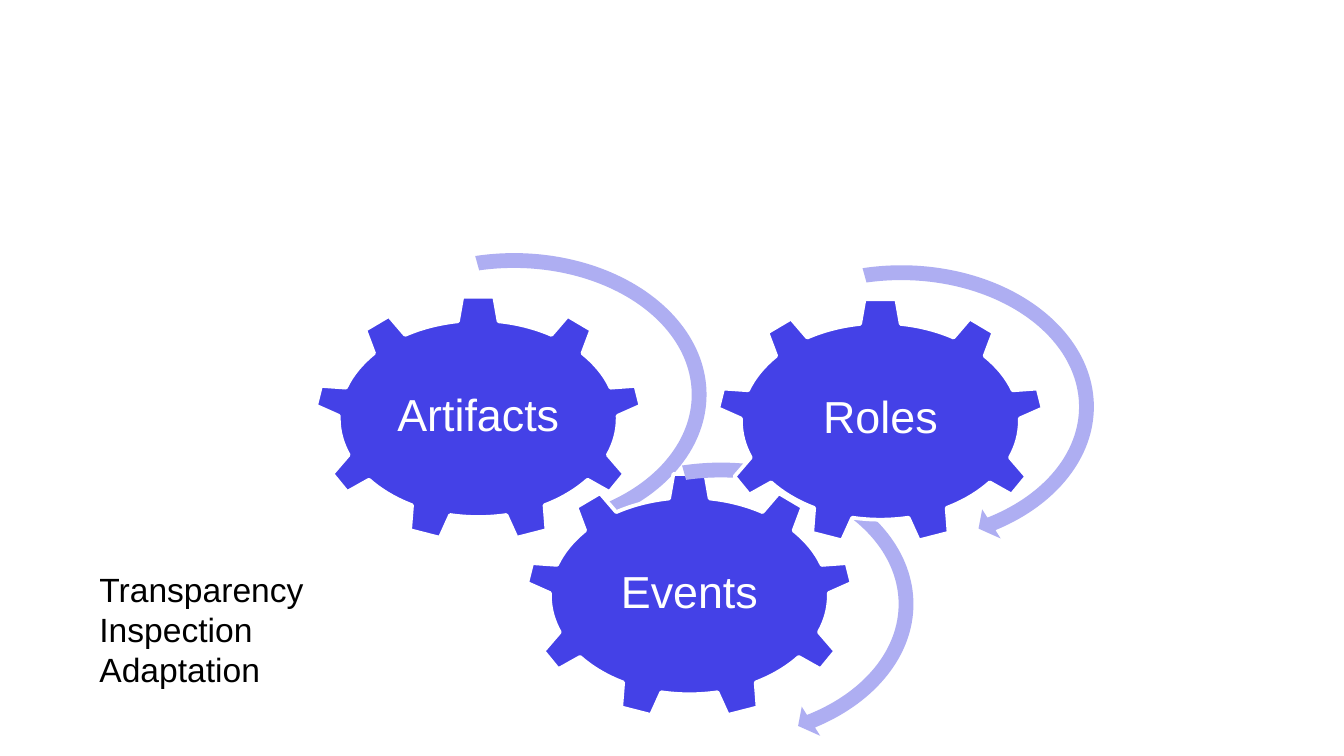
from dataclasses import dataclass

from pptx import Presentation
from pptx.dml.color import RGBColor
from pptx.enum.shapes import MSO_SHAPE
from pptx.enum.text import MSO_ANCHOR, PP_ALIGN
from pptx.util import Cm, Pt

INDIGO, LAVENDER, WHITE, BLACK = "4441E7", "AEAEF2", "FFFFFF", "000000"
GEAR_SIZE = (6.2, 4.65)
ARROW_SIZE = (7.65, 5.72)
ARROW_ADJUSTMENTS = (0.04878, 3.1263, 31.46, 152.62, 0.05691)


@dataclass(frozen=True)
class Stage:
    """A labelled gear and its turning arrow, placed in centimetres."""
    label: str
    gear_at: tuple[float, float]
    arrow_at: tuple[float, float]


STAGES = (
    Stage("Artifacts", (5.94, 5.59), (5.89, 4.6)),
    Stage("Events", (9.93, 8.94), (9.8, 8.56)),
    Stage("Roles", (13.54, 5.64), (13.21, 4.83)),
)


def color(value: str) -> RGBColor:
    """Turn a hex string into a colour."""
    return RGBColor.from_string(value)


def write(frame, text: str, *, size: float, ink: str, align=PP_ALIGN.LEFT,
          anchor=MSO_ANCHOR.TOP, spacing: float = 1.0, insets=(0.25, 0.13)) -> None:
    """Fill a text frame with one paragraph per line."""
    frame.word_wrap = True
    frame.vertical_anchor = anchor
    frame.margin_left = frame.margin_right = Cm(insets[0])
    frame.margin_top = frame.margin_bottom = Cm(insets[1])
    frame.text = text
    for paragraph in frame.paragraphs:
        paragraph.alignment = align
        paragraph.line_spacing = spacing
        paragraph.font.size = Pt(size)
        paragraph.font.name = "Arial"
        paragraph.font.color.rgb = color(ink)


def add_filled(slide, preset: MSO_SHAPE, at: tuple[float, float],
               size: tuple[float, float], fill: str):
    """Add a flat preset shape without an outline."""
    shape = slide.shapes.add_shape(preset, *map(Cm, at + size))
    shape.shadow.inherit = False
    shape.fill.solid()
    shape.fill.fore_color.rgb = color(fill)
    shape.line.fill.background()
    return shape


def add_stage(slide, stage: Stage) -> None:
    """Draw a gear with its label and turning arrow."""
    gear = add_filled(slide, MSO_SHAPE.GEAR_9, stage.gear_at, GEAR_SIZE, INDIGO)
    gear.line.color.rgb = color(WHITE)
    gear.line.width = Pt(2)
    write(gear.text_frame, stage.label, size=24, ink=WHITE, align=PP_ALIGN.CENTER,
          anchor=MSO_ANCHOR.MIDDLE, spacing=0.9, insets=(0.08, 0.08))
    arrow = add_filled(slide, MSO_SHAPE.CIRCULAR_ARROW, stage.arrow_at, ARROW_SIZE, LAVENDER)
    for index, value in enumerate(ARROW_ADJUSTMENTS):
        arrow.adjustments[index] = value


def main() -> None:
    """Build and save the slide."""
    presentation = Presentation()
    presentation.slide_width, presentation.slide_height = Cm(25.4), Cm(14.29)
    slide = presentation.slides.add_slide(presentation.slide_layouts[6])
    for stage in STAGES:
        add_stage(slide, stage)
    pillars = slide.shapes.add_textbox(Cm(1.63), Cm(10.62), Cm(6.43), Cm(3.35))
    write(pillars.text_frame, "Transparency\nInspection\nAdaptation", size=18, ink=BLACK)
    presentation.save("out.pptx")


if __name__ == "__main__":
    main()
